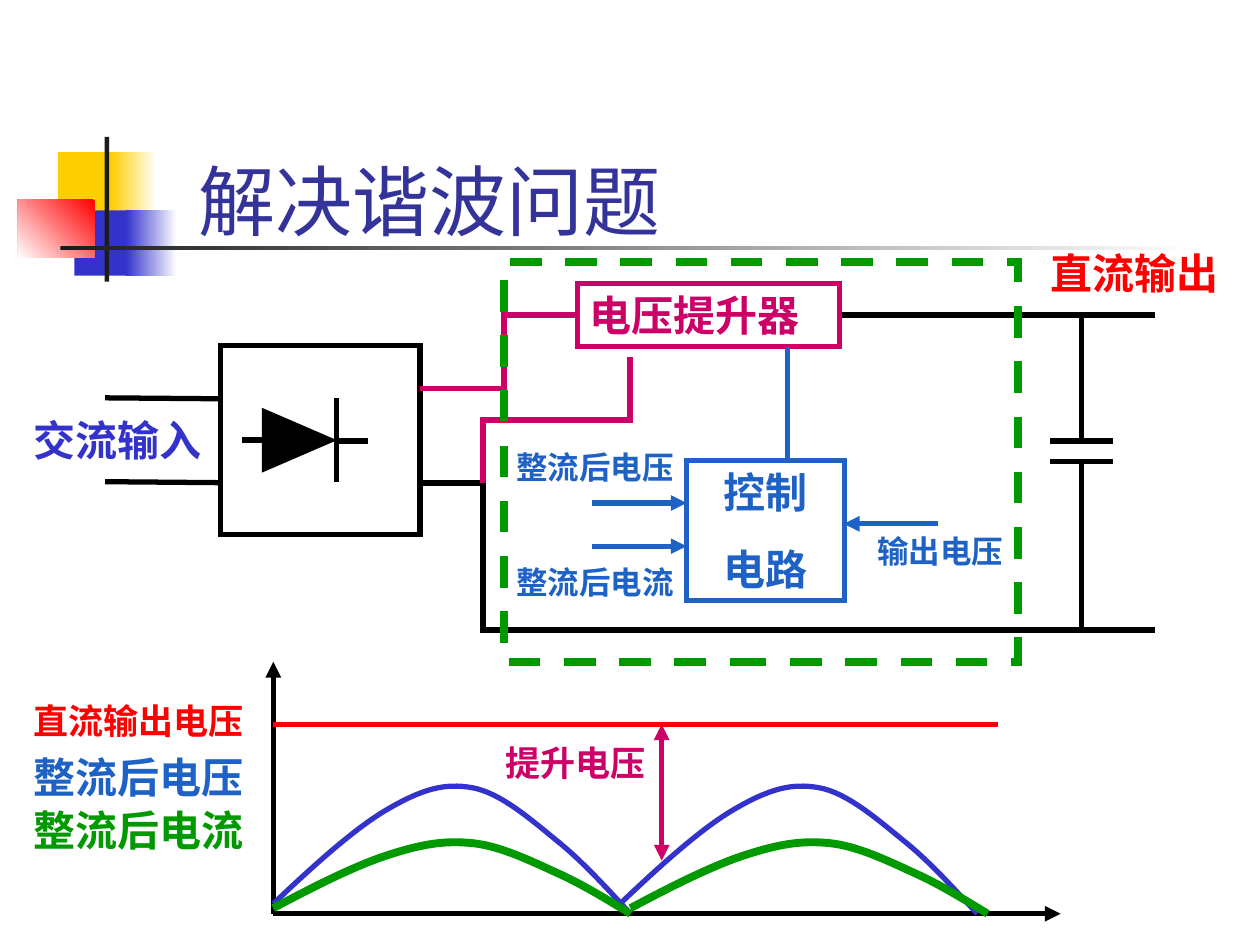
from lxml.etree import SubElement
from pptx import Presentation
from pptx.dml.color import RGBColor
from pptx.enum.dml import MSO_LINE
from pptx.enum.shapes import MSO_CONNECTOR, MSO_SHAPE as SHAPE
from pptx.enum.text import MSO_ANCHOR, MSO_AUTO_SIZE as FIT, PP_ALIGN as ALIGN
from pptx.oxml.ns import qn
from pptx.util import Cm, Pt

FONT = "Lato"
BLACK, WHITE, DARK, RED = "000000", "FFFFFF", "1C1C1C", "FF0000"
YELLOW, INDIGO, NAVY = "FFCF01", "3333CC", "333399"
MAGENTA, BLUE, GREEN = "CC0066", "1F62C5", "009900"


def rgb(value):
    return RGBColor.from_string(value)


def set_outline(part, color, weight, dash=None):
    part.line.color.rgb = rgb(color)
    part.line.width = Pt(weight)
    if dash:
        part.line.dash_style = dash
    outline = part.line._get_or_add_ln()
    SubElement(outline, qn("a:miter"), lim="800000")
    return outline


def add_text(frame, lines, size, color, bold=True, align=ALIGN.LEFT):
    for i, line in enumerate(lines):
        para = frame.paragraphs[0] if i == 0 else frame.add_paragraph()
        para.alignment = align
        if i:
            para.space_before = Pt(15)
        run = para.add_run()
        run.text = line
        run.font.name, run.font.size, run.font.bold = FONT, Pt(size), bold
        run.font.color.rgb = rgb(color)


class Region:
    """Draws parts, in cm, relative to its own top left corner."""

    def __init__(self, slide, left, top):
        self.shapes, self.left, self.top = slide.shapes, left, top

    def at(self, x, y):
        return Cm(self.left + x), Cm(self.top + y)

    def block(self, x, y, w, h, fill=None, line=None, weight=3, kind=SHAPE.RECTANGLE, dash=None):
        block = self.shapes.add_shape(kind, *self.at(x, y), Cm(w), Cm(h))
        block.shadow.inherit = False
        if fill:
            block.fill.solid()
            block.fill.fore_color.rgb = rgb(fill)
        else:
            block.fill.background()
        if line:
            set_outline(block, line, weight, dash)
        else:
            block.line.fill.background()
        return block

    def fade(self, x, y, w, h, start, angle=0):
        fill = self.block(x, y, w, h).fill
        fill.gradient()
        fill.gradient_angle = angle
        for stop, color, position in zip(fill.gradient_stops, (start, WHITE), (0, 1)):
            stop.color.rgb = rgb(color)
            stop.position = position

    def line(self, x1, y1, x2, y2, color=BLACK, arrows=()):
        line = self.shapes.add_connector(
            MSO_CONNECTOR.STRAIGHT, *self.at(x1, y1), *self.at(x2, y2))
        outline = set_outline(line, color, 3)
        for end in arrows:
            SubElement(outline, qn(f"a:{end}"), type="triangle")
        SubElement(line._element.spPr, qn("a:effectLst"))

    def trace(self, points, color=BLACK, weight=3):
        start, *rest = [self.at(*point) for point in points]
        builder = self.shapes.build_freeform(*start, scale=1.0)
        builder.add_line_segments(rest, close=False)
        trace = builder.convert_to_shape()
        trace.shadow.inherit = False
        trace.fill.background()
        set_outline(trace, color, weight)
        return trace

    def curve(self, points, color, weight):
        """Start point, then two control points and an end point per Bezier."""
        trace = self.trace(points, color, weight)
        outline = next(trace._element.iter(qn("a:path")))
        segments = outline.findall(qn("a:lnTo"))
        for i in range(0, len(segments), 3):
            bezier = SubElement(outline, qn("a:cubicBezTo"))
            for segment in segments[i:i + 3]:
                bezier.append(segment[0])
                outline.remove(segment)

    def label(self, x, y, w, h, text, size, color):
        frame = self.shapes.add_textbox(*self.at(x, y), Cm(w), Cm(h)).text_frame
        frame.word_wrap = True
        frame.auto_size = FIT.SHAPE_TO_FIT_TEXT
        add_text(frame, [text], size, color)

    def stage(self, x, y, w, h, lines, color, align=ALIGN.LEFT):
        frame = self.block(x, y, w, h, line=color).text_frame
        frame.word_wrap = True
        frame.auto_size = FIT.SHAPE_TO_FIT_TEXT
        frame.vertical_anchor = MSO_ANCHOR.TOP
        add_text(frame, lines, 24, color, align=align)


def draw_decoration(slide, left, top):
    area = Region(slide, left, top)
    area.block(0.81, 0.31, 1.22, 1.32, YELLOW)
    area.fade(1.88, 0.31, 0.91, 1.32, YELLOW)
    area.block(1.14, 1.48, 1.17, 1.32, INDIGO)
    area.fade(2.18, 1.48, 1.02, 1.32, INDIGO)
    area.fade(0, 1.27, 1.55, 1.17, RED, angle=225)
    area.block(1.75, 0, 0.09, 2.92, DARK)
    area.fade(0.86, 2.19, 22.86, 0.09, DARK)


def fill_title(slide, left, top, width, height):
    title = slide.shapes.title
    title.left, title.top, title.width, title.height = map(Cm, (left, top, width, height))
    frame = title.text_frame
    frame.auto_size = FIT.NONE
    frame.vertical_anchor = MSO_ANCHOR.BOTTOM
    add_text(frame, ["解决谐波问题"], 44, NAVY, bold=False)


def draw_rectifier(slide, left, top):
    area = Region(slide, left, top)
    # AC input
    for y in (1.06, 2.75):
        area.line(1.7, y, 4.03, y + 0.02)
    area.label(0, 1.27, 4.66, 1.27, "交流输入", 24, INDIGO)
    # Diode in its housing
    area.block(4.03, 0, 4.02, 3.81, line=BLACK)
    area.block(4.97, 1.18, 1.27, 1.47, BLACK, BLACK, 0.75,
               SHAPE.ISOSCELES_TRIANGLE).rotation = 90
    area.line(6.36, 1.06, 6.36, 2.75)
    area.line(4.45, 1.91, 4.87, 1.91)
    area.line(6.36, 1.93, 6.99, 1.93)


def draw_wiring(slide, left, top):
    area = Region(slide, left, top)
    upper, lower, end = 1.47, 7.82, 14.82
    # Rectifier to booster, return path and output rail
    area.trace([(0, 2.95), (1.69, 2.95), (1.69, upper), (3.18, upper)], MAGENTA)
    area.trace([(0, 4.86), (1.27, 4.86), (1.27, lower), (end, lower)])
    area.trace([(1.27, 4.86), (1.27, 3.59), (4.23, 3.59), (4.23, 2.32)], MAGENTA)
    area.line(8.46, upper, end, upper)
    # Output capacitor
    for rail, plate in ((upper, 4.01), (lower, 4.43)):
        area.line(12.7, plate, 13.97, plate)
        area.line(13.33, rail, 13.33, plate)
    area.label(12.46, -0.02, 4.66, 1.27, "直流输出", 24, RED)


def draw_boost_control(slide, left, top):
    area = Region(slide, left, top)
    area.stage(1.48, 0.42, 5.29, 1.27, ["电压提升器"], MAGENTA)
    area.stage(3.68, 3.99, 3.18, 2.82, ["控制", "电路"], BLUE, ALIGN.CENTER)
    area.line(5.72, 4.02, 5.72, 1.7, BLUE)
    # Sensed signals
    for arrow_y, label_y, signal in ((4.85, 3.61, "整流后电压"), (5.72, 5.94, "整流后电流")):
        area.line(1.78, arrow_y, 3.68, arrow_y, BLUE, ["tailEnd"])
        area.label(0, label_y, 4.23, 1.02, signal, 18, BLUE)
    area.line(8.75, 5.27, 6.85, 5.27, BLUE, ["tailEnd"])
    area.label(7.28, 5.31, 3.18, 1.02, "输出电压", 18, BLUE)
    # Dashed boundary
    area.block(0, 0, 10.37, 8.05, line=GREEN, weight=4.5, dash=MSO_LINE.DASH)


def half_wave(x0, base, gain):
    """Knots and control points of four Bezier curves; heights rise from base."""
    xs = (0, 0.81, 1.65, 2.31, 3, 3.45, 4.01, 4.57, 5.18, 5.72, 6.22, 6.71, 7.2)
    heights = (0.2, 0.97, 1.73, 2.11, 2.51, 2.64, 2.54, 2.44, 1.91, 1.47, 1.07, 0.53, 0)
    return [(x0 + x, base - gain * height) for x, height in zip(xs, heights)]


def draw_waveforms(slide, left, top):
    area = Region(slide, left, top)
    origin, dc_level = 5.09, 1.27
    # Axes
    area.line(origin, origin, 20.96, origin, arrows=["tailEnd"])
    area.line(origin, origin, origin, 0.01, arrows=["tailEnd"])
    # Rectified voltage and current
    for color, weight, gain, period in ((INDIGO, 3, 1, 6.99), (GREEN, 4.5, 0.56, 7.2)):
        for n in range(2):
            area.curve(half_wave(origin + n * period, origin, gain), color, weight)
    # Boosted output level
    area.line(origin, dc_level, 19.69, dc_level, RED)
    area.line(12.92, dc_level, 12.92, 4.02, MAGENTA, ["headEnd", "tailEnd"])
    area.label(9.52, 1.49, 3.61, 1.12, "提升电压", 20, MAGENTA)
    # Legend
    area.label(0, 0.64, 5.28, 1.12, "直流输出电压", 20, RED)
    area.label(0, 1.69, 5.28, 1.27, "整流后电压", 24, BLUE)
    area.label(0, 2.76, 5.28, 1.27, "整流后电流", 24, GREEN)


def main():
    prs = Presentation()
    prs.slide_width, prs.slide_height = Cm(25.4), Cm(19.05)
    slide = prs.slides.add_slide(prs.slide_layouts[5])
    draw_decoration(slide, 0.36, 2.76)
    fill_title(slide, 3.74, 1.9, 21.64, 3.18)
    draw_rectifier(slide, 0.42, 6.96)
    draw_wiring(slide, 8.47, 4.88)
    draw_boost_control(slide, 10.16, 5.29)
    draw_waveforms(slide, 0.42, 13.33)
    prs.save("out.pptx")


if __name__ == "__main__":
    main()
